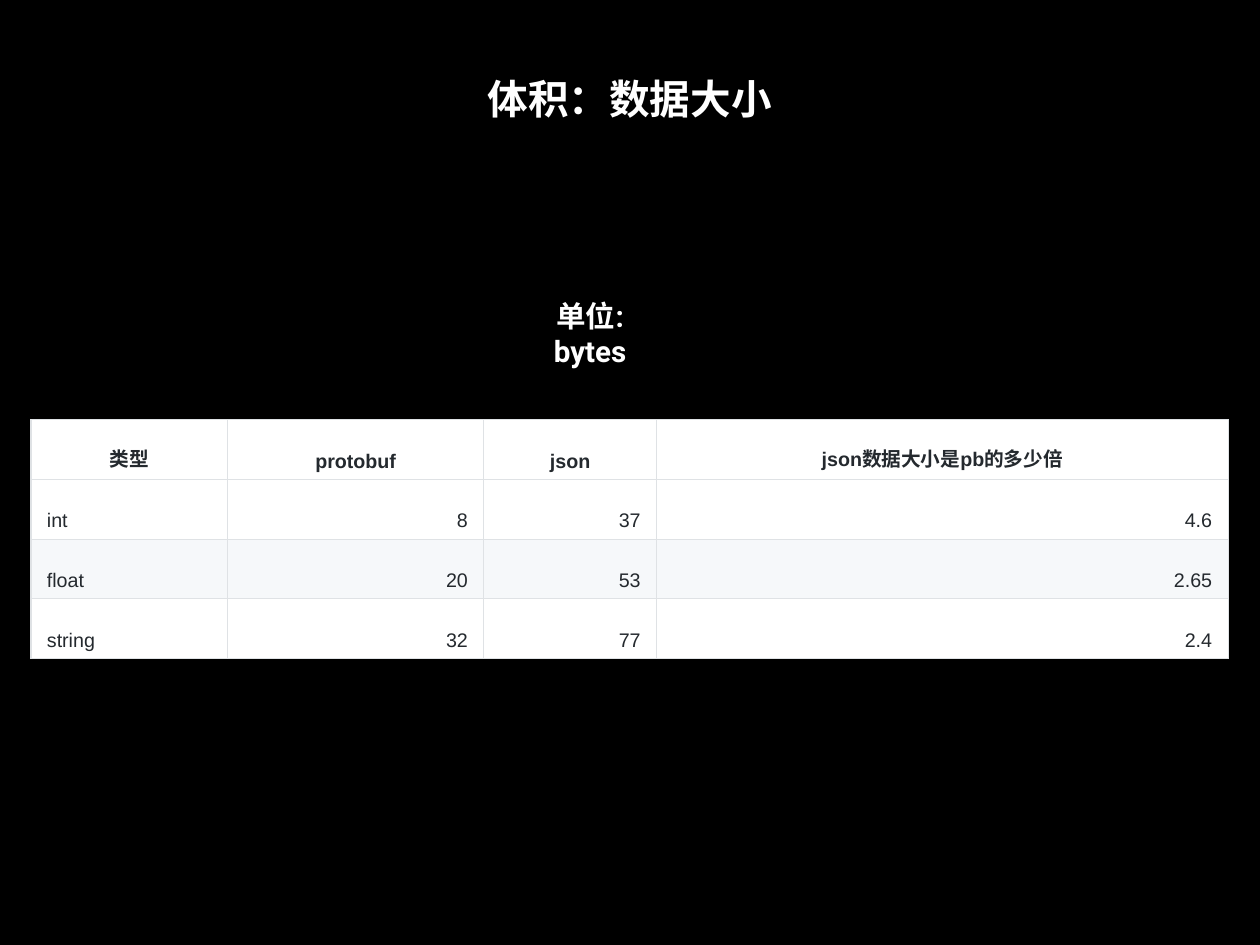
from dataclasses import dataclass

from lxml import etree
from pptx import Presentation
from pptx import util as u
from pptx.dml.color import RGBColor
from pptx.enum import text
from pptx.oxml import ns


@dataclass
class Theme:
    back: str = "000000"
    light: str = "FFFFFF"
    band: str = "F6F8FA"
    ink: str = "24292E"
    rule: str = "DFE2E5"
    head: str = "Roboto"
    body: str = "Arial"
    title: int = 33
    unit: int = 24
    cell: int = 16
    lead: int = 37


class Deck:
    def __init__(self, theme, slide):
        self.theme = theme
        self.slide = slide

    def back(self):
        fill = self.slide.background.fill
        fill.solid()
        fill.fore_color.rgb = RGBColor.from_string(self.theme.back)

    def style(self, para, font, size, color, bold, align):
        para.alignment = align
        for run in para.runs:
            run.font.name = font
            run.font.size = u.Pt(size)
            run.font.bold = bold
            run.font.color.rgb = RGBColor.from_string(color)

    def label(self, words, box, size, wrap=False, left=0.06, right=0.06):
        frame = self.slide.shapes.add_textbox(*map(u.Inches, box)).text_frame
        frame.text = words
        frame.word_wrap = wrap
        frame.vertical_anchor = text.MSO_ANCHOR.MIDDLE
        frame.margin_left, frame.margin_right = u.Inches(left), u.Inches(right)
        frame.margin_top = frame.margin_bottom = u.Inches(0.06)
        self.style(frame.paragraphs[0], self.theme.head, size,
                   self.theme.light, True, text.PP_ALIGN.CENTER)

    def edges(self, cell):
        # Cell borders come before the fill in tcPr
        props = cell._tc.get_or_add_tcPr()
        for spot, side in enumerate(("lnL", "lnR", "lnT", "lnB")):
            line = etree.Element(ns.qn(f"a:{side}"), w=str(u.Pt(1)))
            fill = etree.SubElement(line, ns.qn("a:solidFill"))
            etree.SubElement(fill, ns.qn("a:srgbClr"), val=self.theme.rule)
            props.insert(spot, line)

    def cell(self, cell, words, fill, bold, align):
        cell.text = words
        cell.vertical_anchor = text.MSO_ANCHOR.MIDDLE
        cell.margin_left = cell.margin_right = u.Inches(0.18)
        cell.margin_top = cell.margin_bottom = u.Inches(0.08)
        cell.fill.solid()
        cell.fill.fore_color.rgb = RGBColor.from_string(fill)
        para = cell.text_frame.paragraphs[0]
        para.line_spacing = u.Pt(self.theme.lead)
        self.style(para, self.theme.body, self.theme.cell,
                   self.theme.ink, bold, align)
        self.edges(cell)

    def table(self, rows, left, top, widths, height):
        box = (left, top, sum(widths), height * len(rows))
        grid = self.slide.shapes.add_table(
            len(rows), len(widths), *map(u.Inches, box)).table
        grid.horz_banding = False
        for col, width in zip(grid.columns, widths):
            col.width = u.Inches(width)
        for r, row in enumerate(rows):
            grid.rows[r].height = u.Inches(height)
            fill = self.theme.band if r and r % 2 == 0 else self.theme.light
            for c, words in enumerate(row):
                if r == 0:
                    align = text.PP_ALIGN.CENTER
                else:
                    align = text.PP_ALIGN.RIGHT if c else text.PP_ALIGN.LEFT
                self.cell(grid.cell(r, c), words, fill, r == 0, align)


def main():
    show = Presentation()
    show.slide_width, show.slide_height = u.Inches(14.22), u.Inches(10.67)
    theme = Theme()
    deck = Deck(theme, show.slides.add_slide(show.slide_layouts[6]))
    deck.back()

    # Size comparison
    rows = [
        ("类型", "protobuf", "json", "json数据大小是pb的多少倍"),
        ("int", "8", "37", "4.6"),
        ("float", "20", "53", "2.65"),
        ("string", "32", "77", "2.4"),
    ]
    deck.table(rows, 0.35, 4.74, (2.22, 2.89, 1.95, 6.45), 0.48)

    # Title and unit; the wide right inset puts the unit on two lines
    deck.label("体积：数据大小", (5.44, 0.73, 3.33, 0.75), theme.title)
    deck.label("单位: bytes", (6.19, 3.48, 1.84, 0.57), theme.unit,
               wrap=True, left=0.02, right=0.92)

    show.save("out.pptx")


if __name__ == "__main__":
    main()
